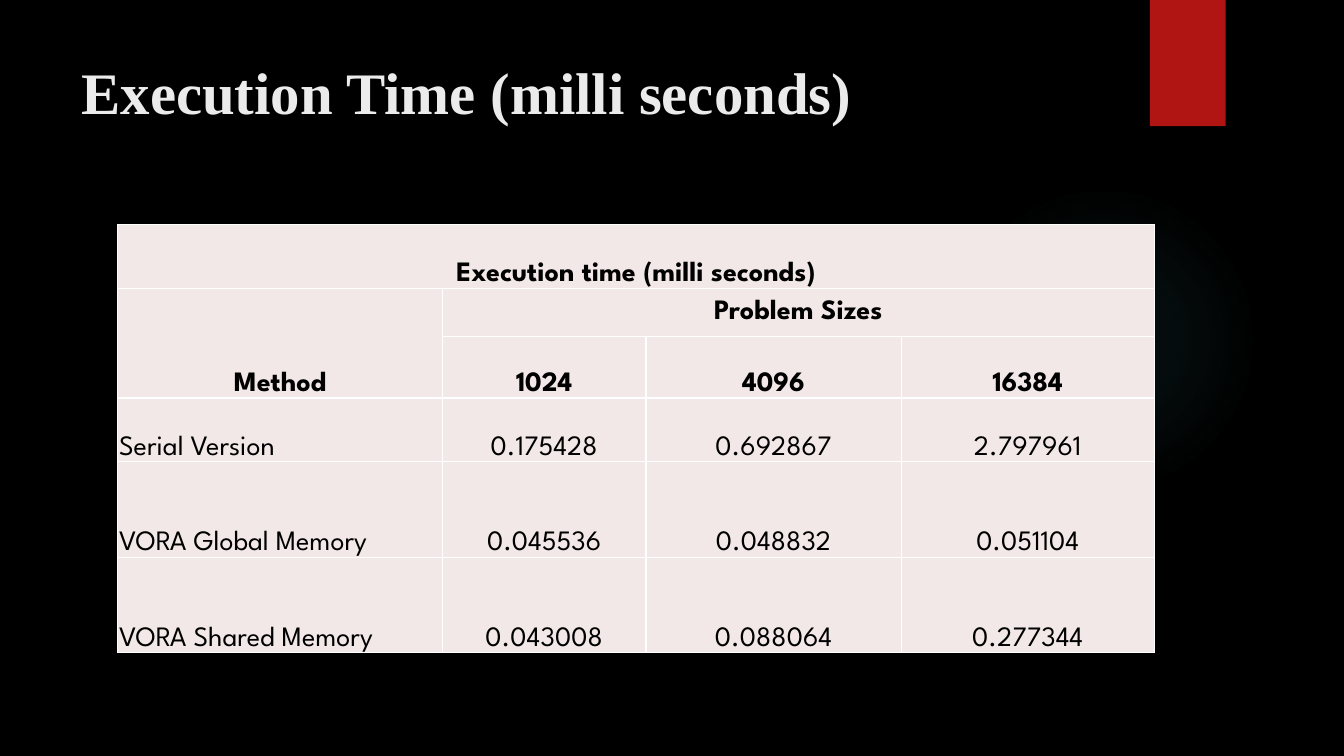
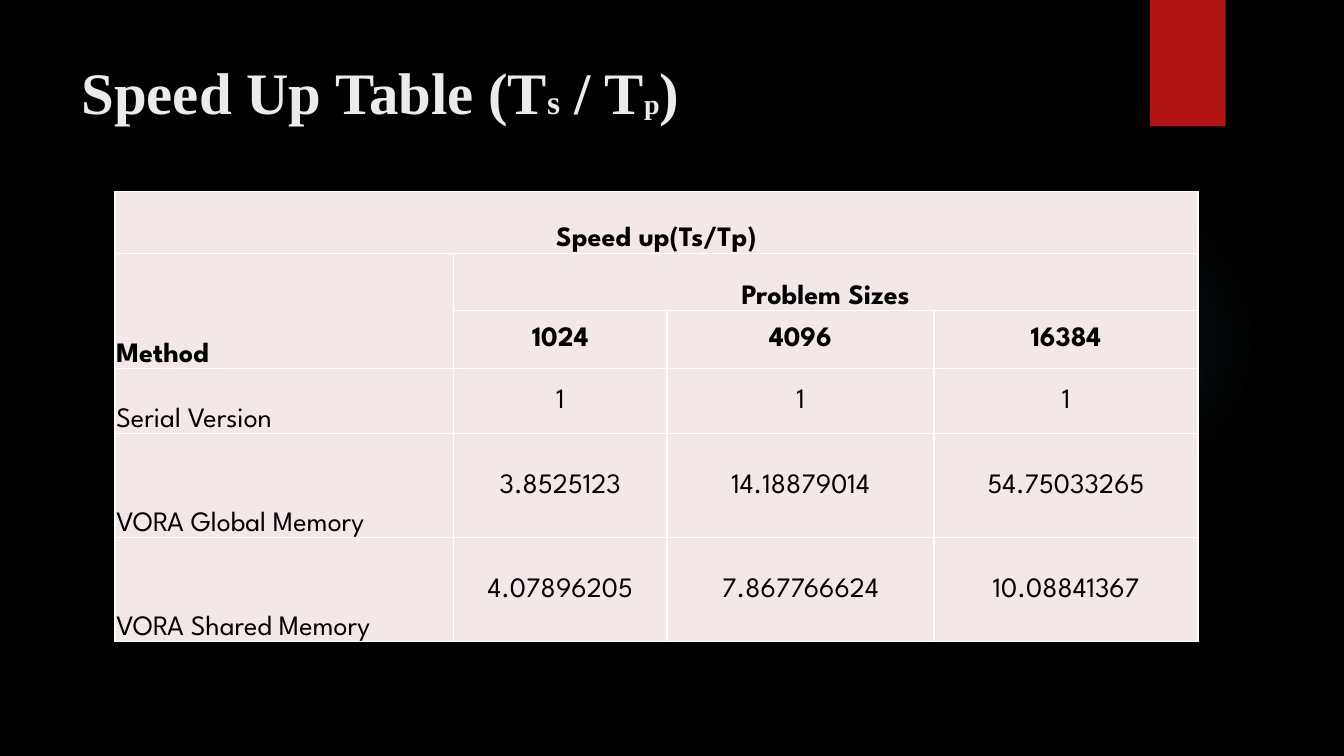
from itertools import product

from pptx import Presentation
from pptx.dml.color import RGBColor
from pptx.enum.shapes import MSO_SHAPE
from pptx.enum.text import MSO_ANCHOR, MSO_AUTO_SIZE, PP_ALIGN
from pptx.oxml import parse_xml
from pptx.oxml.ns import nsdecls, qn
from pptx.util import Cm, Pt

BLACK = RGBColor(0x00, 0x00, 0x00)
WHITE = RGBColor(0xFF, 0xFF, 0xFF)
SILVER = RGBColor(0xEB, 0xEB, 0xEB)
RED = RGBColor(0xB0, 0x15, 0x13)
TEAL = RGBColor(0x50, 0xB9, 0xC1)
BLUSH = RGBColor(0xF2, 0xE8, 0xE7)

OVAL, RECT = MSO_SHAPE.OVAL, MSO_SHAPE.RECTANGLE
TOP, MIDDLE, BOTTOM = MSO_ANCHOR.TOP, MSO_ANCHOR.MIDDLE, MSO_ANCHOR.BOTTOM
LEFT, CENTER = PP_ALIGN.LEFT, PP_ALIGN.CENTER
NO_FIT = MSO_AUTO_SIZE.NONE

TITLE_FONT = {"name": "Times New Roman", "bold": True}
CELL_FONT = {"name": "League Spartan", "size": Pt(20)}
INSETS = {"margin_left": Cm(0.03), "margin_right": Cm(0.03),
          "margin_top": Cm(0.03), "margin_bottom": 0}
PLAIN = {"first_row": False, "horz_banding": False}
GLOW_STOPS = [(0, 7), (36, 6), (69, 0)]
SIZES = ["1024", "4096", "16384"]
METHODS = ["Serial Version", "VORA Global Memory", "VORA Shared Memory"]


def apply(target, values):
    """Set each named attribute of the target."""
    for name, value in values.items():
        setattr(target, name, value)


class Deck:
    """Hold the shared style and the current slide."""

    def __init__(self):
        """Start a black widescreen deck."""
        self.file = Presentation()
        apply(self.file, {"slide_width": Cm(33.87), "slide_height": Cm(19.05)})
        fill = self.file.slide_master.background.fill
        fill.solid()
        fill.fore_color.rgb = BLACK
        self.slide = None

    def page(self, parts, height):
        """Add a slide with its decoration and title."""
        self.slide = self.file.slides.add_slide(self.file.slide_layouts[5])
        self.glow()
        self.band()
        self.title(parts, height)

    def shape(self, kind, *box):
        """Add a shape without line or shadow."""
        shape = self.slide.shapes.add_shape(kind, *map(Cm, box))
        shape.shadow.inherit = False
        shape.line.fill.background()
        return shape

    def glow(self):
        """Add the faint round light at the right."""
        shape = self.shape(OVAL, 23.9, 4.65, 7.82, 7.82)
        shape.fill.background()
        stops = "".join(
            f'<a:gs pos="{place * 1000}"><a:srgbClr val="{TEAL}">'
            f'<a:alpha val="{alpha * 1000}"/></a:srgbClr></a:gs>'
            for place, alpha in GLOW_STOPS)
        props = shape._element.spPr
        props.replace(props.find(qn("a:noFill")), parse_xml(
            f'<a:gradFill {nsdecls("a")}><a:gsLst>{stops}</a:gsLst>'
            '<a:path path="circle"><a:fillToRect l="50000" t="50000" '
            'r="50000" b="50000"/></a:path></a:gradFill>'))

    def band(self):
        """Add the red band at the top edge."""
        fill = self.shape(RECT, 28.98, 0, 1.91, 3.18).fill
        fill.solid()
        fill.fore_color.rgb = RED

    def title(self, parts, height):
        """Write the title from pairs of text and size."""
        title = self.slide.shapes.title
        apply(title, {"left": Cm(1.8), "top": Cm(1.27),
                      "width": Cm(26.14), "height": Cm(height)})
        frame = title.text_frame
        apply(frame, {"auto_size": NO_FIT, "word_wrap": True,
                      "vertical_anchor": TOP})
        line = frame.paragraphs[0]
        line.alignment = LEFT
        for text, size in parts:
            run = line.add_run()
            run.text = text
            apply(run.font, {**TITLE_FONT, "size": Pt(size)})
            run.font.color.rgb = SILVER

    def table(self, spot, widths, heights, head, data, left, middle):
        """Add a results table, left-aligning column one from row left."""
        rows = [[head, "", "", ""], ["Method", "Problem Sizes", "", ""],
                ["", *SIZES],
                *([method, *values] for method, values in zip(METHODS, data))]
        box = (*spot, sum(widths), sum(heights))
        table = self.slide.shapes.add_table(
            len(rows), len(widths), *map(Cm, box)).table
        apply(table, PLAIN)
        for column, width in zip(table.columns, widths):
            column.width = Cm(width)
        for row, height in zip(table.rows, heights):
            row.height = Cm(height)
        for row, col in product(range(len(rows)), range(len(widths))):
            align = LEFT if col == 0 and row >= left else CENTER
            anchor = MIDDLE if (row, col) in middle else BOTTOM
            self.cell(table.cell(row, col), rows[row][col], row < 3,
                      align, anchor)
        for first, last in [((0, 0), (0, 3)), ((1, 0), (2, 0)),
                            ((1, 1), (1, 3))]:
            table.cell(*first).merge(table.cell(*last))

    def cell(self, cell, text, bold, align, anchor):
        """Fill, border and write one cell."""
        apply(cell, {**INSETS, "vertical_anchor": anchor})
        cell.fill.solid()
        cell.fill.fore_color.rgb = BLUSH
        props = cell._tc.get_or_add_tcPr()
        for place, side in enumerate("LRTB"):
            props.insert(place, parse_xml(
                f'<a:ln{side} {nsdecls("a")} w="{Pt(1)}"><a:solidFill>'
                f'<a:srgbClr val="{WHITE}"/></a:solidFill></a:ln{side}>'))
        line = cell.text_frame.paragraphs[0]
        apply(line, {"text": text, "alignment": align})
        for run in line.runs:
            apply(run.font, {**CELL_FONT, "bold": bold})
            run.font.color.rgb = BLACK


def main():
    """Build both slides and save them."""
    deck = Deck()
    deck.page([("Execution Time (milli seconds)", 42)], 3.89)
    deck.table(
        (2.97, 5.66), [8.18, 5.13, 6.43, 6.38],
        [1.6, 1.22, 1.55, 1.6, 2.41, 2.41], "Execution time (milli seconds)",
        [["0.175428", "0.692867", "2.797961"],
         ["0.045536", "0.048832", "0.051104"],
         ["0.043008", "0.088064", "0.277344"]],
        left=3, middle={(1, 1)})
    deck.page([("Speed Up Table (T", 42), ("s", 24), (" / T", 42),
               ("p", 20), (")", 42)], 2.79)
    deck.table(
        (2.9, 4.83), [8.53, 5.38, 6.73, 6.65],
        [1.55, 1.45, 1.45, 1.65, 2.62, 2.62], "Speed up(Ts/Tp)",
        [["1", "1", "1"],
         ["3.8525123", "14.18879014", "54.75033265"],
         ["4.07896205", "7.867766624", "10.08841367"]],
        left=1, middle=set(product(range(2, 6), range(1, 4))))
    deck.file.save("out.pptx")


if __name__ == "__main__":
    main()
